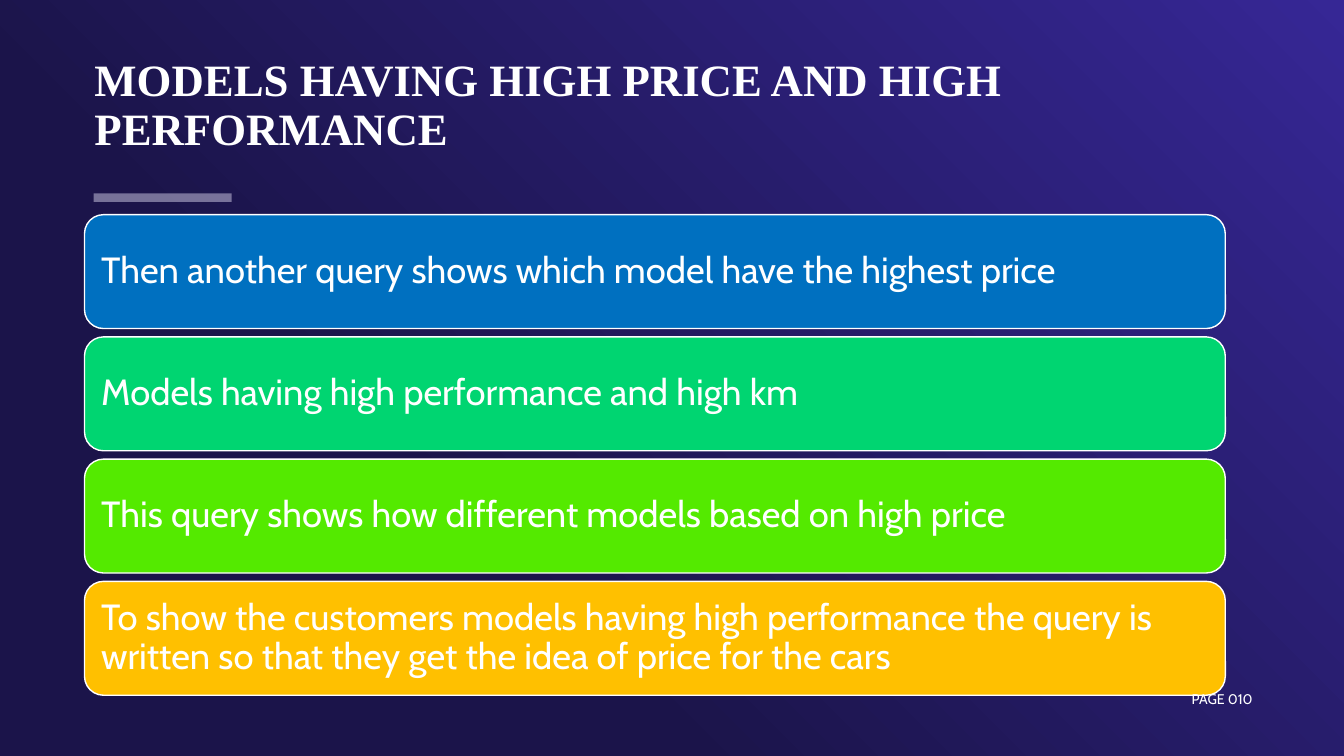
from dataclasses import dataclass

from lxml.etree import SubElement
from pptx import Presentation
from pptx.dml.color import RGBColor
from pptx.enum.shapes import MSO_CONNECTOR, MSO_SHAPE
from pptx.enum.text import MSO_ANCHOR as Anchor, MSO_AUTO_SIZE, PP_ALIGN as Align
from pptx.oxml.ns import qn
from pptx.slide import Slide
from pptx.text.text import TextFrame
from pptx.util import Cm, Pt

WHITE = "FFFFFF"
BODY_FONT = "Cabin"
TITLE_FONT = "Times New Roman"

CARD_LEFT, CARD_TOP = 2.13, 5.41
CARD_WIDTH, CARD_HEIGHT = 28.75, 2.87
CARD_PITCH = 3.08


@dataclass(frozen=True)
class Card:
    text: str
    fill: str


@dataclass(frozen=True)
class TextStyle:
    font: str
    size: float
    bold: bool = False
    align: Align = Align.LEFT
    anchor: Anchor = Anchor.MIDDLE
    line_spacing: float = 0.9
    margins: tuple[float, float, float, float] = (0.28, 0.28, 0.28, 0.28)


TITLE_STYLE = TextStyle(TITLE_FONT, 32, bold=True, anchor=Anchor.BOTTOM,
                        margins=(0.25, 0.13, 0.25, 0.13))
CARD_STYLE = TextStyle(BODY_FONT, 26)
PAGE_STYLE = TextStyle(BODY_FONT, 10, align=Align.RIGHT, line_spacing=1.0,
                       margins=(0, 0, 0, 0.13))

CARDS = (
    Card("Then another query shows which model have the highest price", "0070C0"),
    Card("Models having high performance and high km", "00D571"),
    Card("This query shows how different models based on high price", "54EA00"),
    Card("To show the customers models having high performance the query is "
         "written so that they get the idea of price for the cars", "FFC000"),
)


def rgb(hex_color: str) -> RGBColor:
    return RGBColor.from_string(hex_color)


def write(frame: TextFrame, text: str, style: TextStyle) -> None:
    frame.word_wrap = True
    frame.auto_size = MSO_AUTO_SIZE.NONE
    frame.vertical_anchor = style.anchor
    (frame.margin_left, frame.margin_top,
     frame.margin_right, frame.margin_bottom) = map(Cm, style.margins)
    paragraph = frame.paragraphs[0]
    paragraph.alignment = style.align
    paragraph.line_spacing = style.line_spacing
    run = paragraph.add_run()
    run.text = text
    run.font.name = style.font
    run.font.size = Pt(style.size)
    run.font.bold = style.bold
    run.font.color.rgb = rgb(WHITE)


def paint_background(slide: Slide) -> None:
    fill = slide.background.fill
    fill.gradient()
    fill.gradient_angle = 45
    for stop, (position, color) in zip(fill.gradient_stops,
                                       ((0.33, "1B144A"), (1.0, "362795"))):
        stop.position = position
        stop.color.rgb = rgb(color)


def add_title(slide: Slide, text: str) -> None:
    title = slide.shapes.title
    title.left, title.top, title.width, title.height = map(
        Cm, (2.13, 0.58, 25.12, 3.45))
    write(title.text_frame, text, TITLE_STYLE)


def add_accent_line(slide: Slide) -> None:
    """Draw the half-transparent bar under the title."""
    accent = slide.shapes.add_connector(
        MSO_CONNECTOR.STRAIGHT, Cm(2.36), Cm(4.98), Cm(5.84), Cm(4.98))
    accent.line.width = Pt(6)
    accent.line.color.rgb = rgb("D4D0E9")
    properties = accent._element.spPr
    color = properties.find(".//" + qn("a:srgbClr"))
    SubElement(color, qn("a:alpha"), val="50000")
    SubElement(properties, qn("a:effectLst"))


def add_card(slide: Slide, card: Card, top: float) -> None:
    box = slide.shapes.add_shape(
        MSO_SHAPE.ROUNDED_RECTANGLE,
        Cm(CARD_LEFT), Cm(top), Cm(CARD_WIDTH), Cm(CARD_HEIGHT))
    box.shadow.inherit = False
    box.fill.solid()
    box.fill.fore_color.rgb = rgb(card.fill)
    box.line.color.rgb = rgb(WHITE)
    box.line.width = Pt(1)
    write(box.text_frame, card.text, CARD_STYLE)


def add_page_label(slide: Slide, text: str) -> None:
    label = slide.shapes.add_textbox(Cm(24.36), Cm(17.17), Cm(7.21), Cm(1.02))
    write(label.text_frame, text, PAGE_STYLE)


def main() -> None:
    deck = Presentation()
    deck.slide_width, deck.slide_height = Cm(33.87), Cm(19.05)
    slide = deck.slides.add_slide(deck.slide_layouts.get_by_name("Title Only"))
    paint_background(slide)
    add_title(slide, "MODELS HAVING HIGH PRICE AND HIGH PERFORMANCE")
    add_accent_line(slide)
    for index, card in enumerate(CARDS):
        add_card(slide, card, CARD_TOP + index * CARD_PITCH)
    add_page_label(slide, "PAGE 010")
    deck.save("out.pptx")


if __name__ == "__main__":
    main()
